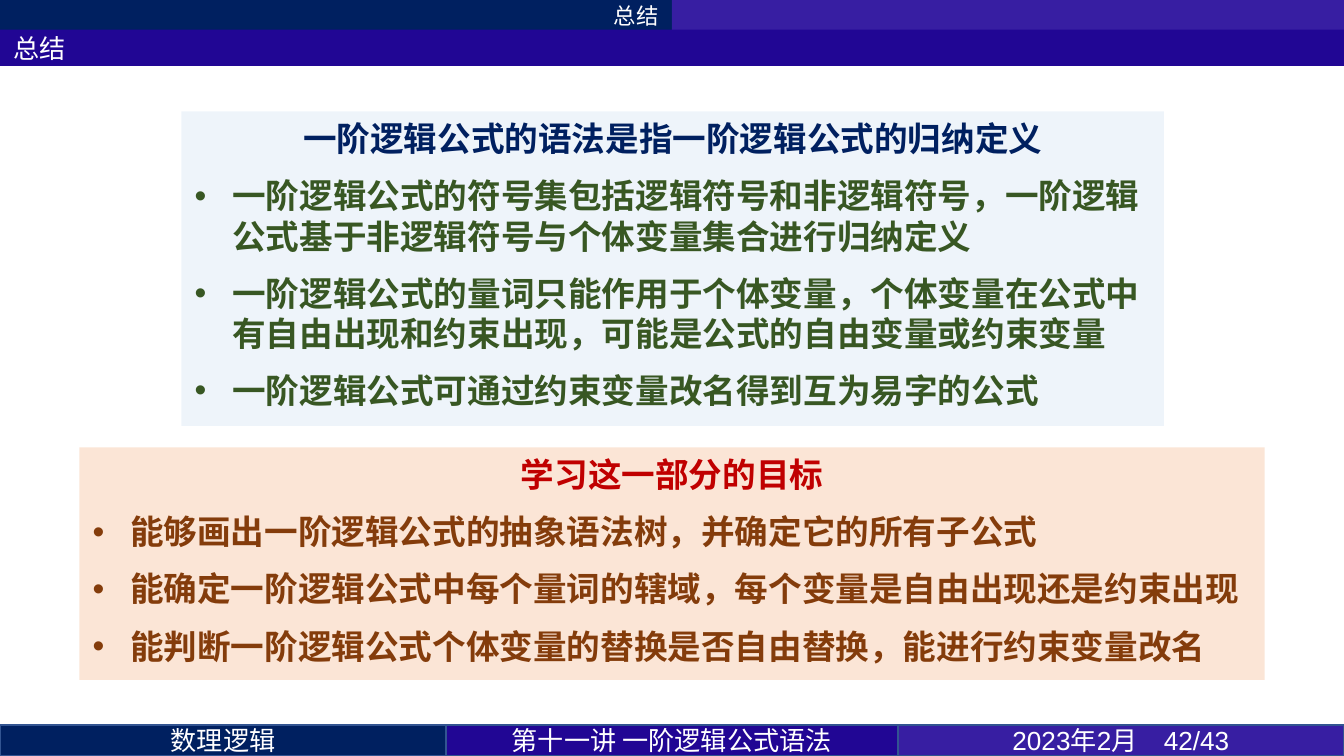
from dataclasses import dataclass

from lxml import etree
from pptx import Presentation
from pptx.dml.color import RGBColor
from pptx.enum.shapes import MSO_SHAPE
from pptx.enum.text import MSO_ANCHOR as Anchor, MSO_AUTO_SIZE as AutoSize, PP_ALIGN as Align
from pptx.oxml.ns import qn
from pptx.util import Inches, Pt


@dataclass(frozen=True)
class Theme:
    navy: str = "002060"
    indigo: str = "210694"
    violet: str = "371EA2"
    border: str = "325491"
    white: str = "FFFFFF"
    pale_blue: str = "DEEBF7"
    green: str = "385723"
    peach: str = "FBE5D6"
    red: str = "C00000"
    brown: str = "843C0B"
    cjk: str = "Noto Sans CJK SC"
    latin: str = "Calibri"
    digits: str = "Arial"
    small: int = 12
    bar: int = 14
    body: int = 18
    leading: float = 21.6
    gap: float = 4.5
    indent: float = 0.28


T = Theme()
WIDTH = 10
HEIGHT = WIDTH * 9 / 16


def add_box(s, box, fill, line=None):
    sp = s.shapes.add_shape(MSO_SHAPE.RECTANGLE, *map(Inches, box))
    sp.shadow.inherit = False
    sp.fill.solid()
    sp.fill.fore_color.rgb = RGBColor.from_string(fill)
    if line:
        sp.line.color.rgb = RGBColor.from_string(line)
        sp.line.width = Pt(1)
    else:
        sp.line.fill.background()
    sp.text_frame.word_wrap = True
    return sp


def add_run(p, text, size, color, font, bold=False):
    r = p.add_run()
    r.text = text
    r.font.size, r.font.bold, r.font.name = Pt(size), bold, font
    r.font.color.rgb = RGBColor.from_string(color)
    etree.SubElement(r._r.get_or_add_rPr(), qn("a:ea"), typeface=T.cjk)


def set_bullet(p):
    pPr = p._p.get_or_add_pPr()
    pPr.set("marL", str(Inches(T.indent)))
    pPr.set("indent", str(-Inches(T.indent)))
    etree.SubElement(pPr, qn("a:buFont"), typeface="Arial")
    etree.SubElement(pPr, qn("a:buChar"), char="•")


def add_bar(s, box, fill, text="", size=T.bar, font=T.cjk, align=Align.CENTER, line=None):
    tf = add_box(s, box, fill, line).text_frame
    tf.margin_top = tf.margin_bottom = 0
    tf.vertical_anchor = Anchor.MIDDLE
    if text:
        p = tf.paragraphs[0]
        p.alignment = align
        add_run(p, text, size, T.white, font)


def add_panel(s, box, fill, title, title_color, items, item_color, alpha=None):
    sp = add_box(s, box, fill)
    if alpha:
        color = sp._element.spPr.find(qn("a:solidFill"))[0]
        etree.SubElement(color, qn("a:alpha"), val=str(alpha * 1000))
    tf = sp.text_frame
    tf.auto_size = AutoSize.SHAPE_TO_FIT_TEXT
    tf.vertical_anchor = Anchor.TOP
    for i, text in enumerate([title, *items]):
        p = tf.add_paragraph() if i else tf.paragraphs[0]
        p.alignment = Align.LEFT if i else Align.CENTER
        p.line_spacing = Pt(T.leading)
        p.space_before = Pt(T.gap if i else 0)
        p.space_after = Pt(T.gap)
        if i:
            set_bullet(p)
            add_run(p, text, T.body, item_color, T.cjk, bold=True)
        else:
            add_run(p, text, T.body, title_color, T.latin, bold=True)


def add_header(s, box):
    x, y, w, h = box
    half, top = w / 2, 0.23
    add_bar(s, (x, y, half, top), T.navy, "总结", T.small, align=Align.RIGHT)
    add_bar(s, (x + half, y, half, top), T.violet)
    add_bar(s, (x, y + 0.22, w, h - 0.22), T.indigo, "总结", font=T.latin, align=Align.LEFT)


def add_footer(s, box):
    x, y, w, h = box
    side = 3.32
    cells = [
        (side, T.navy, "数理逻辑", T.cjk),
        (w - 2 * side, T.indigo, "第十一讲 一阶逻辑公式语法", T.cjk),
        (side, T.violet, "2023年2月　42/43", T.digits),
    ]
    for cell_w, fill, text, font in cells:
        add_bar(s, (x, y, cell_w, h), fill, text, font=font, line=T.border)
        x += cell_w


def main():
    prs = Presentation()
    prs.slide_width, prs.slide_height = Inches(WIDTH), Inches(HEIGHT)
    s = prs.slides.add_slide(prs.slide_layouts[6])

    # Summary of the lecture
    add_panel(s, (1.35, 0.83, 7.31, 2.34), T.pale_blue,
              "一阶逻辑公式的语法是指一阶逻辑公式的归纳定义", T.navy,
              ["一阶逻辑公式的符号集包括逻辑符号和非逻辑符号，一阶逻辑公式基于非逻辑符号与个体变量集合进行归纳定义",
               "一阶逻辑公式的量词只能作用于个体变量，个体变量在公式中有自由出现和约束出现，可能是公式的自由变量或约束变量",
               "一阶逻辑公式可通过约束变量改名得到互为易字的公式"],
              T.green, alpha=50)

    # Learning goals
    add_panel(s, (0.59, 3.33, 8.82, 1.73), T.peach,
              "学习这一部分的目标", T.red,
              ["能够画出一阶逻辑公式的抽象语法树，并确定它的所有子公式",
               "能确定一阶逻辑公式中每个量词的辖域，每个变量是自由出现还是约束出现",
               "能判断一阶逻辑公式个体变量的替换是否自由替换，能进行约束变量改名"],
              T.brown)

    # Navigation bars
    add_header(s, (0, 0, WIDTH, 0.49))
    add_footer(s, (0, HEIGHT - 0.23, WIDTH, 0.23))

    prs.save("out.pptx")


if __name__ == "__main__":
    main()
